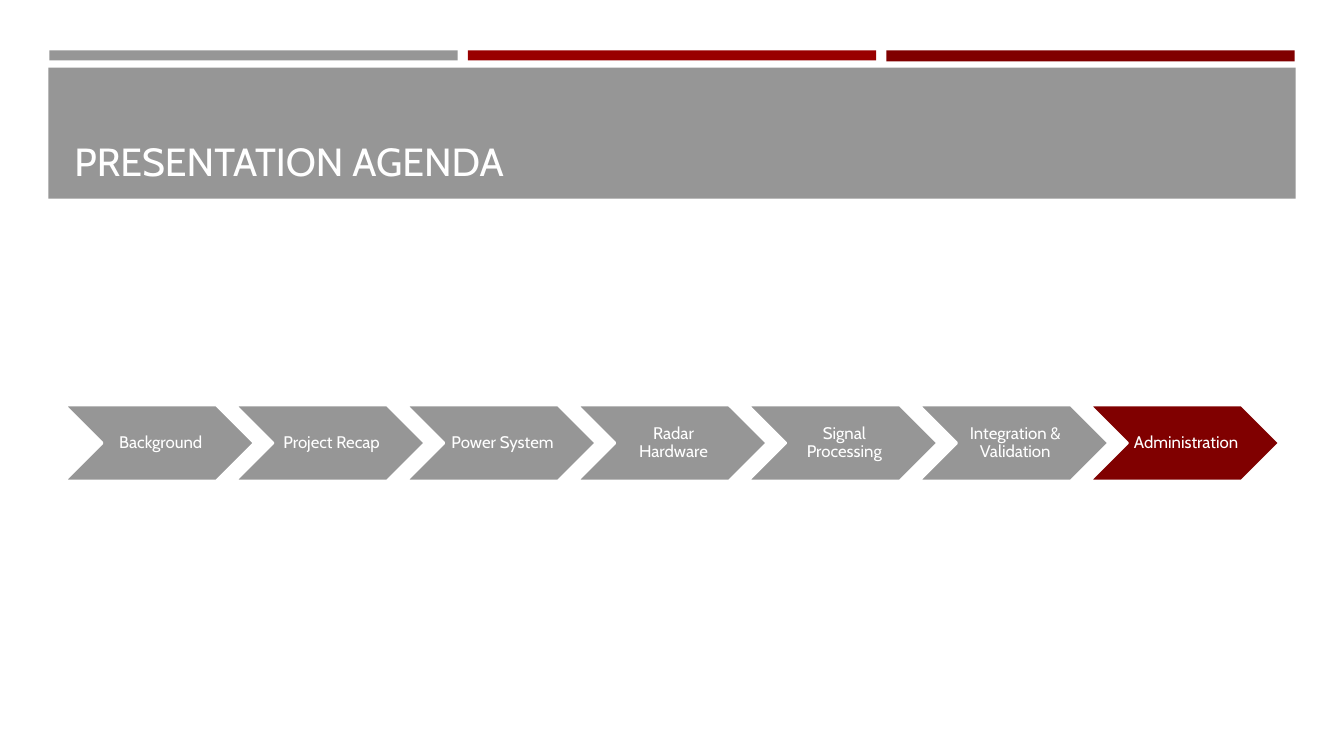
from pptx import Presentation
from pptx import util as u
from pptx.dml.color import RGBColor
from pptx.enum import shapes, text

# Content
TITLE = "PRESENTATION AGENDA"
STEPS = ["Background", "Project Recap", "Power System", "Radar Hardware",
         "Signal Processing", "Integration & Validation", "Administration"]
NOW = "Administration"
FONT = "Cabin"
HEX = {"gray": "969696", "red": "990000", "dark": "800000", "white": "FFFFFF"}
BARS = [("gray", 0.1), ("red", 0.1), ("dark", 0.11)]  # colour, height

# Layout in inches
BAR_X, BAR_Y, BAR_W, BAR_STEP = 0.49, 0.5, 4.05, 4.15
BAND = (0.48, 0.67, 12.37, 1.3)
HEAD = (0.64, 0.77, 12.06, 1.11)
FIRST, LAST, ROW_Y, STEP_W, STEP_H = 0.64, 10.81, 4.02, 1.88, 0.75
PITCH = (LAST - FIRST) / (len(STEPS) - 1)

deck = Presentation()
deck.slide_width, deck.slide_height = u.Inches(13.33), u.Inches(7.5)
slide = deck.slides.add_slide(deck.slide_layouts[6])


def color(name):
    return RGBColor.from_string(HEX[name])


def add_shape(kind, box, fill):
    shape = slide.shapes.add_shape(kind, *map(u.Inches, box))
    shape.shadow.inherit = False
    shape.fill.solid()
    shape.fill.fore_color.rgb = color(fill)
    shape.line.fill.background()
    return shape


def write(shape, words, size, anchor, align, insets):
    frame = shape.text_frame
    frame.text = words
    frame.word_wrap = True
    frame.vertical_anchor = anchor
    (frame.margin_left, frame.margin_top,
     frame.margin_right, frame.margin_bottom) = map(u.Inches, insets)
    para = frame.paragraphs[0]
    para.alignment = align
    para.line_spacing = 0.9
    font = para.runs[0].font
    font.name, font.size = FONT, u.Pt(size)
    font.color.rgb = color("white")


# Top bars and title band
RECT = shapes.MSO_SHAPE.RECTANGLE
for i, (fill, high) in enumerate(BARS):
    add_shape(RECT, (BAR_X + i * BAR_STEP, BAR_Y, BAR_W, high), fill)
add_shape(RECT, BAND, "gray")

# Title
head = slide.shapes.add_textbox(*map(u.Inches, HEAD))
write(head, TITLE, 28, text.MSO_ANCHOR.BOTTOM, text.PP_ALIGN.LEFT,
      (0.1, 0.05, 0.1, 0.05))

# Agenda chevrons
for i, name in enumerate(STEPS):
    step = add_shape(shapes.MSO_SHAPE.CHEVRON,
                     (FIRST + i * PITCH, ROW_Y, STEP_W, STEP_H),
                     "dark" if name == NOW else "gray")
    step.adjustments[0] = 0.5
    step.line.color.rgb = color("white")
    step.line.width = u.Pt(1.75)
    write(step, name, 12, text.MSO_ANCHOR.MIDDLE, text.PP_ALIGN.CENTER,
          (0.05, 0.02, 0.02, 0.02))

deck.save("out.pptx")
